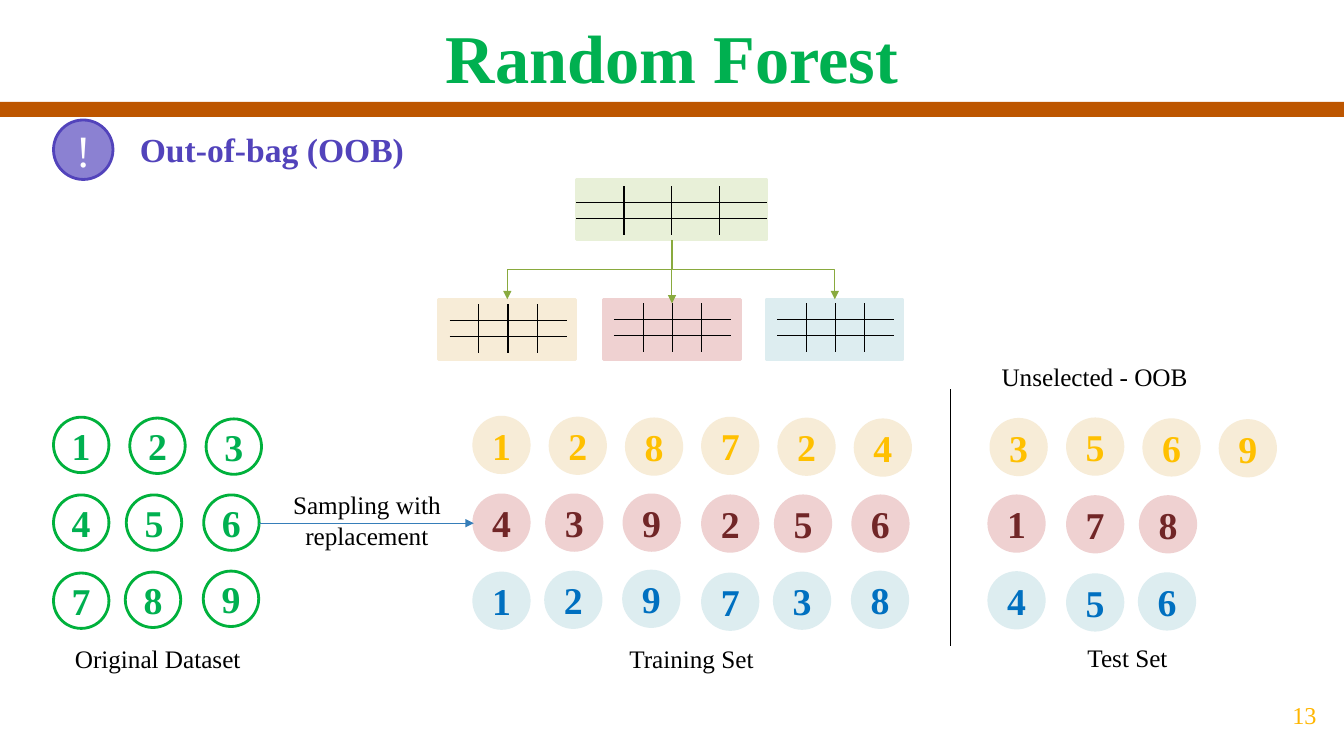
from dataclasses import dataclass

from lxml.etree import SubElement
from pptx import Presentation
from pptx.dml.color import RGBColor
from pptx.enum.shapes import MSO_CONNECTOR as Link, MSO_SHAPE as Preset
from pptx.enum.text import MSO_ANCHOR as Anchor, PP_ALIGN as Align
from pptx.oxml.ns import qn
from pptx.util import Pt

FONT = "Times New Roman"
COLORS = {
    "white": "FFFFFF", "black": "000000", "bar": "BD5600",
    "title": "00B050", "ring": "00B13C", "topic": "5243BB", "badge": "8B81D2",
    "source": "E8F0D8", "sand": "F7ECD7", "rose": "EFD1D1", "sky": "DDEDF0",
    "amber": "FFC000", "wine": "712627", "blue": "0070C0",
    "branch": "89AA3E", "sampling": "367EB9", "page": "FFB600",
}

DOT_SIZE = 39.6
ROW_TOPS = (0, 55.5, 111.3)
ROW_OFFSETS = ((0, 54.5, 109), (0, 52, 107.3), (0, 51.3, 107))
ROW_SLOPES = (0.6, 0, -0.7)
GRID_ROWS, GRID_COLUMNS, GRID_ROW_HEIGHT = 3, 4, 11.5


@dataclass(frozen=True)
class Box:
    left: float
    top: float
    width: float
    height: float


@dataclass(frozen=True)
class DotStyle:
    fill: str
    line: str
    text: str


@dataclass(frozen=True)
class DotGroup:
    left: float
    top: float
    rows: tuple[str, str, str]
    styles: tuple[DotStyle, DotStyle, DotStyle]


@dataclass(frozen=True)
class LoneDot:
    left: float
    top: float
    digit: str


@dataclass(frozen=True)
class Sheet:
    box: Box
    color: str
    grid_left: float
    grid_top: float
    column_width: float


@dataclass(frozen=True)
class Caption:
    text: str
    box: Box


RING = DotStyle("white", "ring", "title")
SAMPLES = (DotStyle("sand", "sand", "amber"), DotStyle("rose", "rose", "wine"),
           DotStyle("sky", "sky", "blue"))

DOT_GROUPS = (
    DotGroup(38.2, 298, ("123", "456", "789"), (RING,) * 3),
    DotGroup(338.4, 298, ("128", "439", "129"), SAMPLES),
    DotGroup(501.8, 298.7, ("724", "256", "738"), SAMPLES),
    DotGroup(762.5, 299.2, ("569", "78", "56"), SAMPLES),
)
FIRST_TEST_DOTS = (LoneDot(707.8, 299.5, "3"), LoneDot(706.3, 354.2, "1"),
                   LoneDot(706.3, 409, "4"))

SHEETS = (
    Sheet(Box(411.8, 128.2, 136.1, 43.2), "source", 411.8, 133.2, 34),
    Sheet(Box(313.2, 213.8, 97.9, 43.2), "sand", 321.1, 217.4, 20.9),
    Sheet(Box(431.3, 213.8, 97.9, 43.2), "rose", 438.5, 216.7, 20.9),
    Sheet(Box(547.2, 213.8, 97.9, 43.2), "sky", 555.1, 216.7, 20.9),
)

CAPTIONS = (
    Caption("Sampling with replacement", Box(186.5, 346.3, 151.2, 51.1)),
    Caption("Unselected - OOB", Box(706.3, 254.9, 151.2, 28.8)),
    Caption("Training Set", Box(338.4, 455.8, 311, 28.8)),
    Caption("Test Set", Box(679, 455, 252.7, 28.8)),
    Caption("Original Dataset", Box(38.2, 455.8, 149, 28.8)),
)


def color(name: str) -> RGBColor:
    return RGBColor.from_string(COLORS[name])


def lengths(box: Box) -> tuple:
    return Pt(box.left), Pt(box.top), Pt(box.width), Pt(box.height)


def write(shape, text: str, size: float, ink: str, bold: bool = False,
          align=Align.CENTER, anchor=Anchor.MIDDLE) -> None:
    frame = shape.text_frame
    frame.word_wrap = True
    frame.vertical_anchor = anchor
    paragraph = frame.paragraphs[0]
    paragraph.text = text
    paragraph.alignment = align
    font = paragraph.font
    font.name, font.size, font.bold = FONT, Pt(size), bold
    font.color.rgb = color(ink)


def add_panel(slide, preset, box: Box, fill: str, line: str | None = None):
    panel = slide.shapes.add_shape(preset, *lengths(box))
    panel.shadow.inherit = False
    panel.fill.solid()
    panel.fill.fore_color.rgb = color(fill)
    if line:
        panel.line.color.rgb = color(line)
        panel.line.width = Pt(2)
    else:
        panel.line.fill.background()
    return panel


def add_label(slide, box: Box, text: str, size: float, ink: str,
              bold: bool = False, anchor=Anchor.TOP):
    label = slide.shapes.add_textbox(*lengths(box))
    write(label, text, size, ink, bold, anchor=anchor)
    return label


def add_dot(slide, left: float, top: float, digit: str, style: DotStyle) -> None:
    dot = add_panel(slide, Preset.OVAL, Box(left, top, DOT_SIZE, DOT_SIZE), style.fill, style.line)
    write(dot, digit, 27, style.text, bold=True)
    frame = dot.text_frame
    frame.margin_left = frame.margin_right = 0


def add_dot_group(slide, group: DotGroup) -> None:
    rows = zip(group.rows, group.styles, ROW_TOPS, ROW_OFFSETS, ROW_SLOPES)
    for digits, style, row_top, offsets, slope in rows:
        for index, (digit, offset) in enumerate(zip(digits, offsets)):
            add_dot(slide, group.left + offset, group.top + row_top + index * slope, digit, style)


def set_border(cell, side: str, visible: bool) -> None:
    border = SubElement(cell._tc.get_or_add_tcPr(), qn(f"a:ln{side}"), w=str(Pt(1)))
    if visible:
        fill = SubElement(border, qn("a:solidFill"))
        SubElement(fill, qn("a:srgbClr"), val=COLORS["black"])
    else:
        SubElement(border, qn("a:noFill"))


def add_sheet(slide, sheet: Sheet) -> None:
    """Draw a coloured panel with an empty grid that has inner rules only."""
    add_panel(slide, Preset.RECTANGLE, sheet.box, sheet.color, sheet.color)
    area = Box(sheet.grid_left, sheet.grid_top, sheet.column_width * GRID_COLUMNS,
               GRID_ROW_HEIGHT * GRID_ROWS)
    grid = slide.shapes.add_table(GRID_ROWS, GRID_COLUMNS, *lengths(area)).table
    grid.first_row = grid.horz_banding = False
    for row in range(GRID_ROWS):
        for column in range(GRID_COLUMNS):
            cell = grid.cell(row, column)
            cell.margin_left = cell.margin_right = cell.margin_top = cell.margin_bottom = 0
            set_border(cell, "L", column > 0)
            set_border(cell, "R", column < GRID_COLUMNS - 1)
            set_border(cell, "T", row > 0)
            set_border(cell, "B", row < GRID_ROWS - 1)
            cell.fill.background()
            SubElement(cell.text_frame.paragraphs[0]._p, qn("a:endParaRPr"), sz="600")


def add_link(slide, kind, start: tuple[float, float], end: tuple[float, float],
             ink: str, arrow: bool = True):
    link = slide.shapes.add_connector(kind, *map(Pt, start + end))
    link.line.color.rgb = color(ink)
    link.line.width = Pt(0.75)
    if arrow:
        SubElement(link.line._get_or_add_ln(), qn("a:tailEnd"), type="triangle")
    SubElement(link._element.spPr, qn("a:effectLst"))
    return link


def add_branch(slide, start: tuple[float, float], end: tuple[float, float]) -> None:
    """Add an elbow arrow that leaves downwards, by turning a sideways one."""
    (x1, y1), (x2, y2) = start, end
    middle_x, middle_y = (x1 + x2) / 2, (y1 + y2) / 2
    half_span = abs(x2 - x1) / 2
    half_drop = (y2 - y1) / 2 * (1 if x2 < x1 else -1)
    branch = add_link(slide, Link.ELBOW, (middle_x - half_drop, middle_y - half_span),
                      (middle_x + half_drop, middle_y + half_span), "branch")
    angle = 90 if x2 < x1 else 270
    branch._element.spPr.find(qn("a:xfrm")).set("rot", str(angle * 60000))


def main() -> None:
    deck = Presentation()
    deck.slide_width, deck.slide_height = Pt(960), Pt(540)
    slide = deck.slides.add_slide(deck.slide_layouts[6])

    add_panel(slide, Preset.RECTANGLE, Box(0, 72.7, 960, 10.8), "bar")
    title = add_label(slide, Box(0, 4.3, 960, 68.4), "Random Forest", 48.8, "title", True, Anchor.MIDDLE)
    title.text_frame.margin_top = Pt(7)
    topic = add_panel(slide, Preset.ROUNDED_RECTANGLE, Box(90.7, 85, 830.2, 43.2), "white")
    write(topic, "Out-of-bag (OOB)", 24, "topic", bold=True, align=Align.LEFT)
    badge = add_panel(slide, Preset.OVAL, Box(38.2, 85.7, 42.5, 42.5), "badge", "topic")
    write(badge, "!", 32, "white")

    for sheet in SHEETS:
        add_sheet(slide, sheet)
    trunk = (480, 171.4)
    for branch_x in (362.4, 596.3):
        add_branch(slide, trunk, (branch_x, 213.8))
    add_link(slide, Link.STRAIGHT, trunk, (480, 216.7), "branch")

    for group in DOT_GROUPS:
        add_dot_group(slide, group)
    for dot, style in zip(FIRST_TEST_DOTS, SAMPLES):
        add_dot(slide, dot.left, dot.top, dot.digit, style)
    add_link(slide, Link.STRAIGHT, (185, 373.7), (338.4, 373.7), "sampling")
    add_link(slide, Link.STRAIGHT, (679, 278), (679, 461.5), "black", arrow=False)
    for caption in CAPTIONS:
        add_label(slide, caption.box, caption.text, 18, "black")
    add_label(slide, Box(903.6, 481.7, 56.4, 58.3), "13", 17.3, "page", anchor=Anchor.MIDDLE)

    deck.save("out.pptx")


if __name__ == "__main__":
    main()
